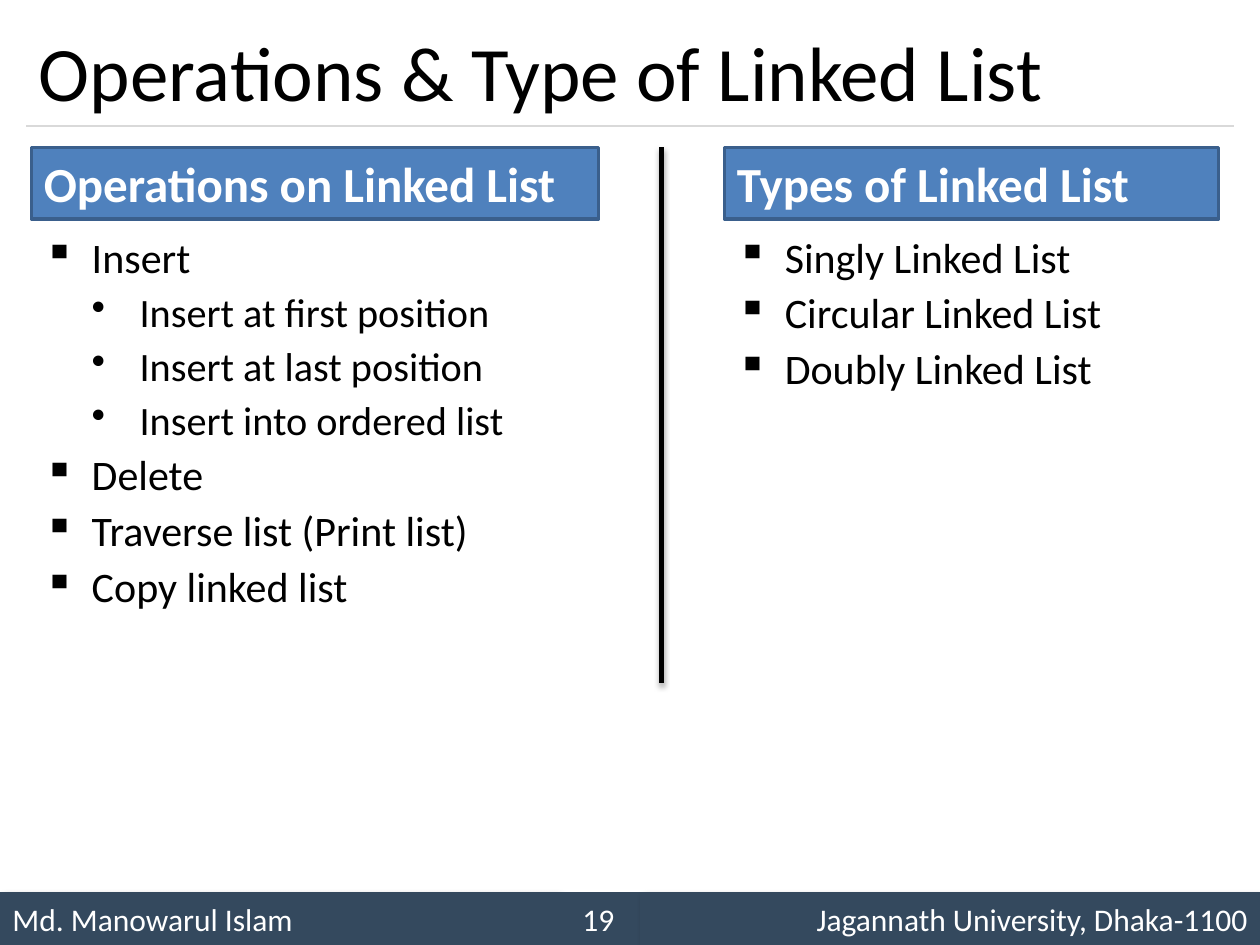
import pptx
import pptx.util
import pptx.dml.color
import pptx.enum.shapes
import pptx.enum.text
import pptx.oxml.ns
from lxml import etree

Inches, Pt = pptx.util.Inches, pptx.util.Pt
ALIGN = pptx.enum.text.PP_ALIGN
ANCHOR = pptx.enum.text.MSO_ANCHOR

# Content
TITLE = "Operations & Type of Linked List"
COLUMNS = [  # left, heading width, list width, list height, heading, (level, item)
    (0.25, 4.5, 4.5, 3.25, "Operations on Linked List", [
        (0, "Insert"),
        (1, "Insert at first position"),
        (1, "Insert at last position"),
        (1, "Insert into ordered list"),
        (0, "Delete"),
        (0, "Traverse list (Print list)"),
        (0, "Copy linked list"),
    ]),
    (5.75, 3.92, 3.75, 1.58, "Types of Linked List", [
        (0, "Singly Linked List"),
        (0, "Circular Linked List"),
        (0, "Doubly Linked List"),
    ]),
]
FOOTER = [  # text, width, alignment, has shadow
    ("Md. Manowarul Islam", 4.42, ALIGN.LEFT, True),
    ("19", 0.66, ALIGN.CENTER, False),
    ("Jagannath University, Dhaka-1100", 4.92, ALIGN.RIGHT, True),
]
LEVELS = [("▪", 24), ("•", 23)]  # bullet, text size

# Layout
WIDTH, HEIGHT = 10, 7.5
MARGIN = 0.21
RULE_Y, HEADING_Y, LIST_Y = 1, 1.17, 1.83
HEADING_HEIGHT, FOOTER_HEIGHT = 0.57, 0.42
DIVIDER_X, DIVIDER_END = 5.25, 5.42
INDENT = 0.38


def color(hex_code):
    return pptx.dml.color.RGBColor.from_string(hex_code)


def add_effects(item, shadow=None):
    """Give an item its effect list: empty, or (alpha, blur, distance, angle)."""
    tag = pptx.oxml.ns.qn
    properties = item._element.spPr
    for old in properties.findall(tag("a:effectLst")):
        properties.remove(old)
    effects = etree.SubElement(properties, tag("a:effectLst"))
    if shadow:
        alpha, blur, distance, angle = shadow
        outer = etree.SubElement(
            effects, tag("a:outerShdw"), blurRad=str(Pt(blur)), dist=str(Pt(distance)),
            dir=str(angle * 60000), rotWithShape="0")
        black = etree.SubElement(outer, tag("a:srgbClr"), val="000000")
        etree.SubElement(black, tag("a:alpha"), val=str(alpha * 1000))


def write(paragraph, text, size, hex_code, align=ALIGN.LEFT, bold=False):
    paragraph.text = text
    paragraph.alignment = align
    font = paragraph.runs[0].font
    font.name, font.size, font.bold = "Calibri", Pt(size), bold
    font.color.rgb = color(hex_code)


def add_text_box(left, top, width, height):
    box = slide.shapes.add_textbox(*map(Inches, (left, top, width, height)))
    box.text_frame.word_wrap = True
    return box.text_frame


def add_bar(left, top, width, height, fill):
    bar = slide.shapes.add_shape(
        pptx.enum.shapes.MSO_SHAPE.RECTANGLE, *map(Inches, (left, top, width, height)))
    bar.shadow.inherit = False
    bar.fill.solid()
    bar.fill.fore_color.rgb = color(fill)
    bar.line.fill.background()
    return bar


def add_line(x1, y1, x2, y2, hex_code, weight, shadow=None):
    line = slide.shapes.add_connector(
        pptx.enum.shapes.MSO_CONNECTOR.STRAIGHT, *map(Inches, (x1, y1, x2, y2)))
    line.line.color.rgb = color(hex_code)
    line.line.width = Pt(weight)
    add_effects(line, shadow)


def add_list(frame, items):
    for number, (level, text) in enumerate(items):
        paragraph = frame.add_paragraph() if number else frame.paragraphs[0]
        bullet, size = LEVELS[level]
        paragraph.level = level
        paragraph.line_spacing = 0.9
        paragraph.space_before = Pt(6 if number else 0)
        properties = paragraph._p.get_or_add_pPr()
        properties.set("marL", str(Inches(INDENT * (level + 1))))
        properties.set("indent", str(Inches(-INDENT)))
        etree.SubElement(properties, pptx.oxml.ns.qn("a:buChar"), char=bullet)
        write(paragraph, text, size, "000000", ALIGN.JUSTIFY)


presentation = pptx.Presentation()
presentation.slide_width, presentation.slide_height = Inches(WIDTH), Inches(HEIGHT)
slide = presentation.slides.add_slide(presentation.slide_layouts[6])

# Title and rule
title = add_text_box(MARGIN, 0.12, WIDTH - 2 * MARGIN, 0.88)
title.vertical_anchor = ANCHOR.MIDDLE
write(title.paragraphs[0], TITLE, 44, "000000")
add_line(MARGIN, RULE_Y, WIDTH - MARGIN, RULE_Y, "D9D9D9", 0.75)

# Two columns: heading bar above a bulleted list
for left, heading_width, list_width, list_height, heading, items in COLUMNS:
    bar = add_bar(left, HEADING_Y, heading_width, HEADING_HEIGHT, "4F81BD")
    bar.line.color.rgb = color("3A5F8C")
    bar.line.width = Pt(2)
    bar.text_frame.vertical_anchor = ANCHOR.TOP
    write(bar.text_frame.paragraphs[0], heading, 28, "FFFFFF", bold=True)
    add_list(add_text_box(left, LIST_Y, list_width, list_height), items)

# Divider
add_line(DIVIDER_X, HEADING_Y, DIVIDER_X, DIVIDER_END, "000000", 3, (35, 3.1, 1.8, 90))

# Footer cells, side by side
left = 0
for text, width, align, has_shadow in FOOTER:
    cell = add_bar(left, HEIGHT - FOOTER_HEIGHT, width, FOOTER_HEIGHT, "34495E")
    if has_shadow:
        add_effects(cell, (40, 4, 3, 45))
    cell.text_frame.vertical_anchor = ANCHOR.MIDDLE
    write(cell.text_frame.paragraphs[0], text, 18, "FFFFFF", align)
    left += width

presentation.save("out.pptx")
